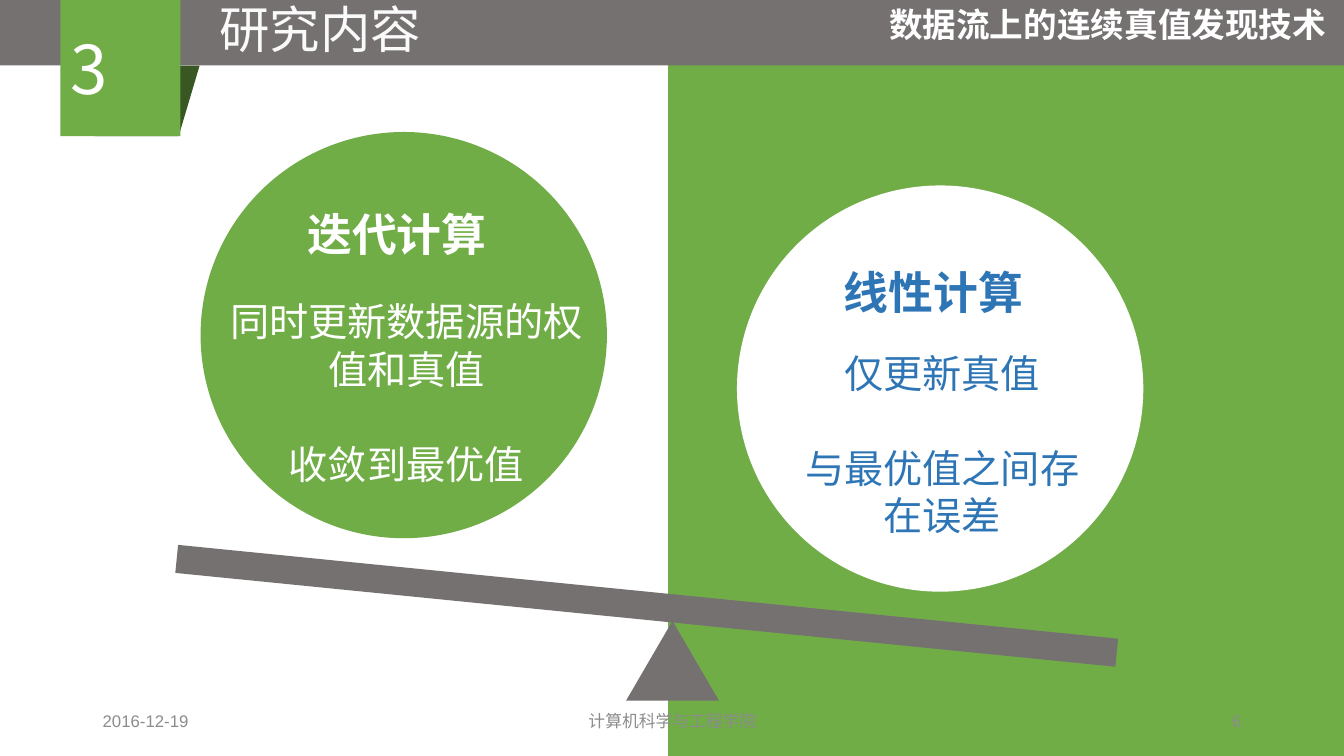
from pptx import Presentation
from pptx.dml.color import RGBColor
from pptx.enum.shapes import MSO_SHAPE
from pptx.enum.text import MSO_ANCHOR, PP_ALIGN
from pptx.oxml.ns import qn
from pptx.util import Inches, Pt
from lxml.etree import SubElement

COLORS = {
    "green": "70AD47", "dark green": "385723", "gray": "767171", "blue": "2E75B6",
    "white": "FFFFFF", "off white": "FAFAFA", "footer": "8C8C8C",
}
CJK_FONT = "Noto Sans CJK SC"
LINE_HEIGHT = 1.21
TILT = 5.7


def color(name):
    return RGBColor.from_string(COLORS[name])


def write(frame, *lines, size, ink, font=CJK_FONT, bold=False,
          align=PP_ALIGN.CENTER, anchor=MSO_ANCHOR.TOP, gap=0):
    frame.word_wrap = True
    frame.vertical_anchor = anchor
    frame.margin_left = frame.margin_right = Inches(0.1)
    frame.margin_top = frame.margin_bottom = Inches(0.05)
    for index, line in enumerate(lines):
        para = frame.add_paragraph() if index else frame.paragraphs[0]
        para.alignment = align
        para.line_spacing = Pt(round(size * LINE_HEIGHT, 1))
        para.space_before = Pt(gap if index else 0)
        span = para.add_run()
        span.text = line
        span.font.name = font
        span.font.size = Pt(size)
        span.font.bold = bold
        span.font.color.rgb = color(ink)
        east_asian = SubElement(span.font._element, qn("a:ea"))
        east_asian.set("typeface", CJK_FONT)


class BalanceSlide:
    """Holds the current slide and draws its elements in one style."""

    def __init__(self, deck):
        self.page = deck.slides.add_slide(deck.slide_layouts[5])

    def shape(self, kind, left, top, width, height, fill, rotation=0):
        shape = self.page.shapes.add_shape(
            kind, Inches(left), Inches(top), Inches(width), Inches(height))
        shape.shadow.inherit = False
        shape.fill.solid()
        shape.fill.fore_color.rgb = color(fill)
        shape.line.fill.background()
        shape.rotation = rotation
        return shape

    def text(self, left, top, width, height, *lines, **style):
        box = self.page.shapes.add_textbox(
            Inches(left), Inches(top), Inches(width), Inches(height))
        write(box.text_frame, *lines, **style)

    def title(self, left, top, width, height, words, **style):
        title = self.page.shapes.title
        title.left, title.top = Inches(left), Inches(top)
        title.width, title.height = Inches(width), Inches(height)
        write(title.text_frame, words, **style)
        title.element.getparent().append(title.element)

    def footer(self, left, width, words, align):
        self.text(left, 6.95, width, 0.4, words, size=12, ink="footer", font="Arial",
                  align=align, anchor=MSO_ANCHOR.MIDDLE)


def main():
    deck = Presentation()
    deck.slide_width, deck.slide_height = Inches(13.33), Inches(7.5)
    slide = BalanceSlide(deck)

    slide.shape(MSO_SHAPE.FLOWCHART_PROCESS, 6.63, 0, 6.71, 7.5, "green")
    slide.shape(MSO_SHAPE.RECTANGLE, 0, -0.01, 13.33, 0.66, "gray")
    slide.shape(MSO_SHAPE.FLOWCHART_DATA, 0.94, 0.65, 1.04, 0.7, "dark green", 180)
    badge = slide.shape(MSO_SHAPE.RECTANGLE, 0.6, -0.01, 1.19, 1.36, "green")
    write(badge.text_frame, "3", size=48, ink="white", align=PP_ALIGN.LEFT,
          anchor=MSO_ANCHOR.MIDDLE)

    slide.shape(MSO_SHAPE.RECTANGLE, 1.73, 5.87, 9.37, 0.28, "gray", TILT)
    slide.shape(MSO_SHAPE.FLOWCHART_CONNECTOR, 1.99, 1.31, 4.03, 4.03, "green", TILT)
    slide.shape(MSO_SHAPE.FLOWCHART_CONNECTOR, 7.31, 1.84, 4.03, 4.03, "white", TILT)
    slide.shape(MSO_SHAPE.ISOSCELES_TRIANGLE, 6.21, 6.16, 0.92, 0.79, "gray")

    heading = dict(size=32, bold=True, align=PP_ALIGN.LEFT)
    slide.text(2.95, 2, 3.25, 0.64, "迭代计算", ink="white", **heading)
    slide.text(8.27, 2.57, 3.25, 0.64, "线性计算", ink="blue", **heading)
    slide.title(1.47, -0.07, 3.41, 0.71, "研究内容", size=36, ink="off white")
    body = dict(size=28, gap=34)
    slide.text(2.15, 2.9, 3.76, 1.99, "同时更新数据源的权值和真值", "收敛到最优值",
               ink="white", **body)
    slide.text(7.72, 3.41, 3.25, 1.99, "仅更新真值", "与最优值之间存在误差",
               ink="blue", **body)

    slide.footer(0.92, 3, "2016-12-19", PP_ALIGN.LEFT)
    slide.footer(4.42, 4.5, "计算机科学与工程学院", PP_ALIGN.CENTER)
    slide.footer(9.41, 3, "6", PP_ALIGN.RIGHT)
    slide.text(7.29, -0.01, 7.39, 0.5, "数据流上的连续真值发现技术", size=24,
               ink="white", bold=True)
    deck.save("out.pptx")


if __name__ == "__main__":
    main()
